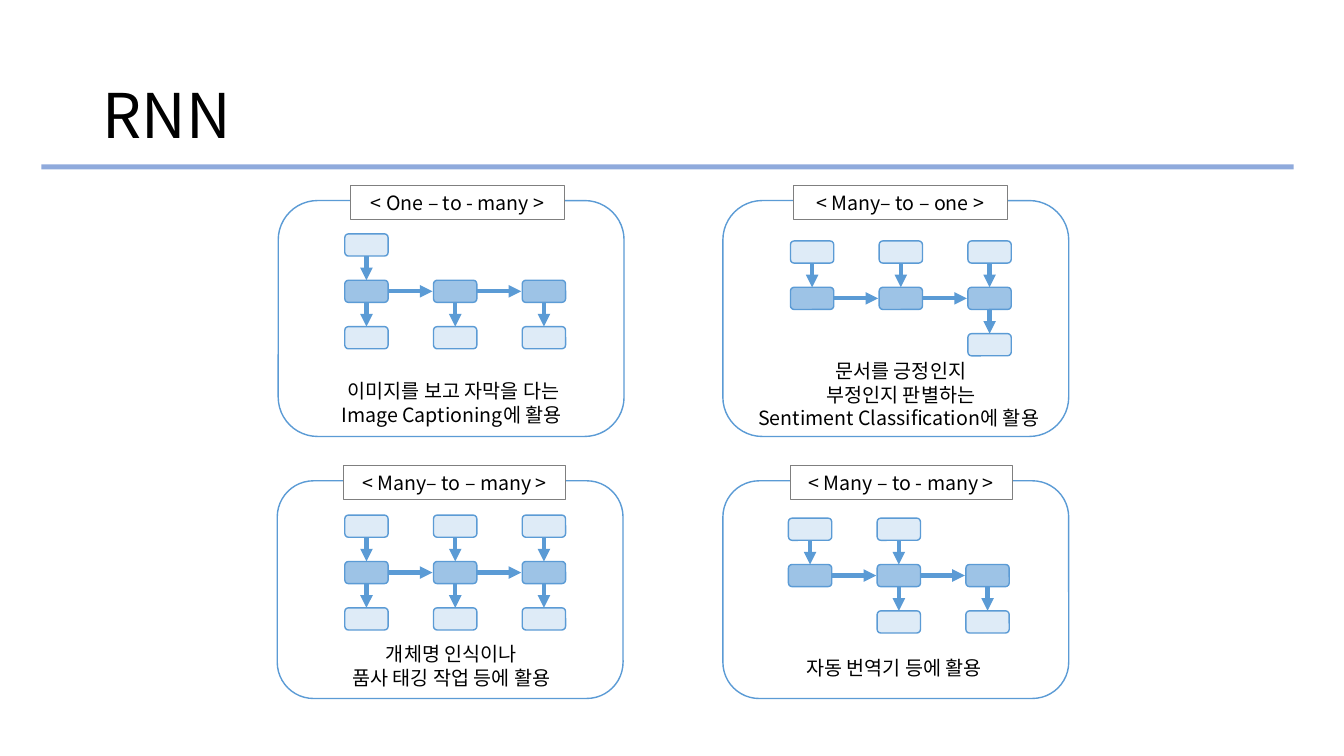
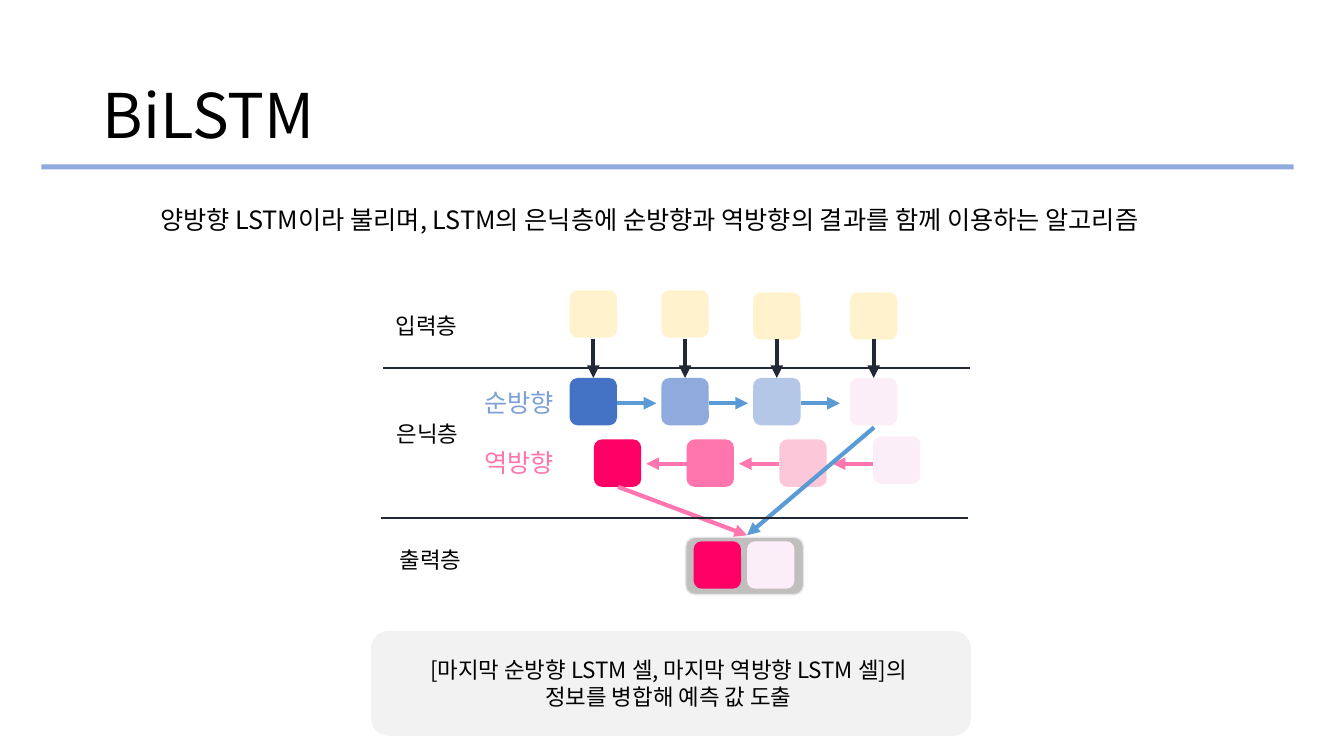
from lxml.etree import SubElement
from pptx import Presentation
from pptx.dml.color import RGBColor
from pptx.enum.shapes import MSO_CONNECTOR, MSO_SHAPE
from pptx.enum.text import MSO_ANCHOR, MSO_AUTO_SIZE, PP_ALIGN
from pptx.oxml.ns import qn
from pptx.util import Inches, Pt

FONT = "Noto Sans CJK KR"
LINE_HEIGHT = 1.2
BLACK = "000000"
WHITE = "FFFFFF"
BLUE = "5B9BD5"
BAND = "8FAADC"
LABEL_EDGE = "7F7F7F"
OUTER_CELL = "DEEBF7"
HIDDEN_CELL = "9DC3E6"
DARK = "222935"
CREAM = "FFF2CC"
RED = "FF0066"
PINK = "FF75AD"
LAST_STATE = "FCEEF8"

CELL_W, CELL_H = 0.43, 0.22
COLUMN_PITCH, ROW_PITCH = 0.88, 0.46
STATE = 0.47

PANELS = [
    {"panel": (2.76, 1.99, 3.43, 2.34), "label": (3.48, 1.84, 2.12, 0.34),
     "name": "< One – to - many >", "origin": (3.42, 2.32),
     "inputs": (0,), "outputs": (0, 1, 2),
     "usage_box": (2.51, 3.71, 3.98, 0.57),
     "usage": ["이미지를 보고 자막을 다는", "Image Captioning에 활용 "]},
    {"panel": (7.17, 1.99, 3.43, 2.34), "label": (7.87, 1.84, 2.12, 0.34),
     "name": "< Many– to – one >", "origin": (7.84, 2.39),
     "inputs": (0, 1, 2), "outputs": (2,),
     "usage_box": (6.46, 3.51, 4.95, 0.81),
     "usage": ["문서를 긍정인지", "부정인지 판별하는",
               "Sentiment Classification에 활용 "]},
    {"panel": (2.75, 4.77, 3.43, 2.16), "label": (3.41, 4.62, 2.2, 0.34),
     "name": "< Many– to – many >", "origin": (3.42, 5.11),
     "inputs": (0, 1, 2), "outputs": (0, 1, 2),
     "usage_box": (2.71, 6.32, 3.58, 0.57),
     "usage": ["개체명 인식이나 ", "품사 태깅 작업 등에 활용 "]},
    {"panel": (7.17, 4.77, 3.43, 2.16), "label": (7.84, 4.62, 2.2, 0.34),
     "name": "< Many – to - many >", "origin": (7.82, 5.14),
     "inputs": (0, 1), "outputs": (1, 2),
     "usage_box": (7.1, 6.45, 3.58, 0.34),
     "usage": ["자동 번역기 등에 활용 "]},
]


def rgb(value):
    return RGBColor.from_string(value)


def write(frame, lines, size=14, color=BLACK, align=PP_ALIGN.CENTER):
    frame.word_wrap = True
    frame.auto_size = MSO_AUTO_SIZE.NONE
    frame.vertical_anchor = MSO_ANCHOR.MIDDLE
    for index, line in enumerate(lines):
        paragraph = frame.paragraphs[0] if index == 0 else frame.add_paragraph()
        paragraph.alignment = align
        paragraph.line_spacing = Pt(round(size * LINE_HEIGHT, 1))
        paragraph.space_before = Pt(0)
        run = paragraph.add_run()
        run.text = line
        run.font.size = Pt(size)
        run.font.name = FONT
        run.font.color.rgb = rgb(color)
        SubElement(run.font._element, qn("a:ea")).set("typeface", FONT)


def add_text(slide, box, lines, **style):
    text = slide.shapes.add_textbox(*map(Inches, box))
    write(text.text_frame, lines, **style)


def add_box(slide, box, fill, edge=None, edge_width=1, rounded=True, opacity=None):
    preset = MSO_SHAPE.ROUNDED_RECTANGLE if rounded else MSO_SHAPE.RECTANGLE
    shape = slide.shapes.add_shape(preset, *map(Inches, box))
    shape.shadow.inherit = False
    shape.fill.solid()
    shape.fill.fore_color.rgb = rgb(fill)
    if opacity is not None:
        color = shape.fill._xPr.find(qn("a:solidFill"))[0]
        SubElement(color, qn("a:alpha")).set("val", str(opacity * 1000))
    if edge:
        shape.line.color.rgb = rgb(edge)
        shape.line.width = Pt(edge_width)
    else:
        shape.line.fill.background()
    return shape


def add_line(slide, start, end, color, width=1):
    line = slide.shapes.add_connector(
        MSO_CONNECTOR.STRAIGHT, *map(Inches, start + end))
    line.line.color.rgb = rgb(color)
    line.line.width = Pt(width)
    SubElement(line._element.spPr, qn("a:effectLst"))
    return line


def add_arrow(slide, start, end, color=BLUE):
    arrow = add_line(slide, start, end, color, width=3)
    SubElement(arrow.line._get_or_add_ln(), qn("a:tailEnd")).set("type", "triangle")


def add_titled_slide(deck, heading):
    slide = deck.slides.add_slide(deck.slide_layouts[5])
    title = slide.shapes.title
    title.left, title.top, title.width, title.height = map(
        Inches, (0.92, 0.4, 11.5, 1.45))
    write(title.text_frame, [heading], size=44, align=PP_ALIGN.LEFT)
    add_box(slide, (0.41, 1.63, 12.42, 0.05), BAND, rounded=False)
    return slide


def add_network(slide, origin, inputs, outputs):
    left, top = origin
    hidden_top, output_top = top + ROW_PITCH, top + 2 * ROW_PITCH
    for column in range(3):
        x = left + column * COLUMN_PITCH
        center = x + CELL_W / 2
        add_box(slide, (x, hidden_top, CELL_W, CELL_H), HIDDEN_CELL, BLUE)
        if column < 2:
            middle = hidden_top + CELL_H / 2
            add_arrow(slide, (x + CELL_W, middle),
                      (x + COLUMN_PITCH - 0.01, middle))
        for used, cell_top, arrow_top in (
                (inputs, top, top), (outputs, output_top, hidden_top)):
            if column in used:
                add_box(slide, (x, cell_top, CELL_W, CELL_H), OUTER_CELL, BLUE)
                add_arrow(slide, (center, arrow_top + CELL_H),
                          (center, arrow_top + ROW_PITCH))


def add_state(slide, left, top, fill):
    add_box(slide, (left, top, STATE, STATE), fill)


def build_rnn(deck):
    slide = add_titled_slide(deck, "RNN")
    for item in PANELS:
        add_box(slide, item["panel"], WHITE, BLUE)
        label = add_box(slide, item["label"], WHITE, LABEL_EDGE, 0.75, rounded=False)
        write(label.text_frame, [item["name"]])
        add_network(slide, item["origin"], item["inputs"], item["outputs"])
        add_text(slide, item["usage_box"], item["usage"])


def build_bilstm(deck):
    slide = add_titled_slide(deck, "BiLSTM")
    add_text(slide, (1.49, 1.98, 10.61, 0.4),
             ["양방향 LSTM이라 불리며, LSTM의 은닉층에 순방향과 역방향의 결과를 함께 이용하는 알고리즘"],
             size=18, align=PP_ALIGN.LEFT)

    for name, left, top in (("입력층", 3.74, 3.04), ("은닉층", 3.75, 4.12),
                            ("출력층", 3.78, 5.37)):
        add_text(slide, (left, top, 0.98, 0.37), [name], size=16)
    for name, top, color in (("순방향", 3.79, "7D9FD5"), ("역방향", 4.39, PINK)):
        add_text(slide, (4.66, top, 0.98, 0.4), [name], size=18, color=color)

    add_box(slide, (6.8, 5.33, 1.17, 0.57), "767171", "E7E6E6", opacity=45)

    forward = [(5.65, 2.88, "4472C4"), (6.56, 2.88, BAND),
               (7.47, 2.9, "B4C7E7"), (8.43, 2.9, LAST_STATE)]
    for left, input_top, _ in forward:
        center = left + STATE / 2
        add_state(slide, left, input_top, CREAM)
        add_arrow(slide, (center, 3.36), (center, 3.75), DARK)
    for left, _, _ in forward[:-1]:
        add_arrow(slide, (left + STATE, 4), (left + STATE + 0.39, 4))

    backward = [(5.89, 4.36, RED), (6.81, 4.36, PINK),
                (7.73, 4.36, "FDC7DA"), (8.66, 4.33, LAST_STATE)]
    for left, top, fill in backward[:-1]:
        add_state(slide, left, top, fill)
    for left, _, _ in backward[1:]:
        add_arrow(slide, (left, 4.6), (left - 0.4, 4.6), PINK)

    add_arrow(slide, (6.13, 4.83), (7.41, 5.31), PINK)
    add_arrow(slide, (8.67, 4.24), (7.41, 5.31))
    for left, divider in ((3.8, 3.65), (3.78, 5.14)):
        add_line(slide, (left, divider), (left + 5.82, divider), DARK)

    for left, _, fill in forward:
        add_state(slide, left, 3.75, fill)
    add_state(slide, *backward[-1])
    for left, fill in ((6.88, RED), (7.41, LAST_STATE)):
        add_state(slide, left, 5.37, fill)

    summary = add_box(slide, (3.68, 6.26, 5.95, 1.04), "F2F2F2")
    write(summary.text_frame,
          ["[마지막 순방향 LSTM 셀, 마지막 역방향 LSTM 셀]의 ",
           "정보를 병합해 예측 값 도출 "], size=16)


def main():
    deck = Presentation()
    deck.slide_width, deck.slide_height = Inches(13.33), Inches(7.5)
    build_rnn(deck)
    build_bilstm(deck)
    deck.save("out.pptx")


if __name__ == "__main__":
    main()
